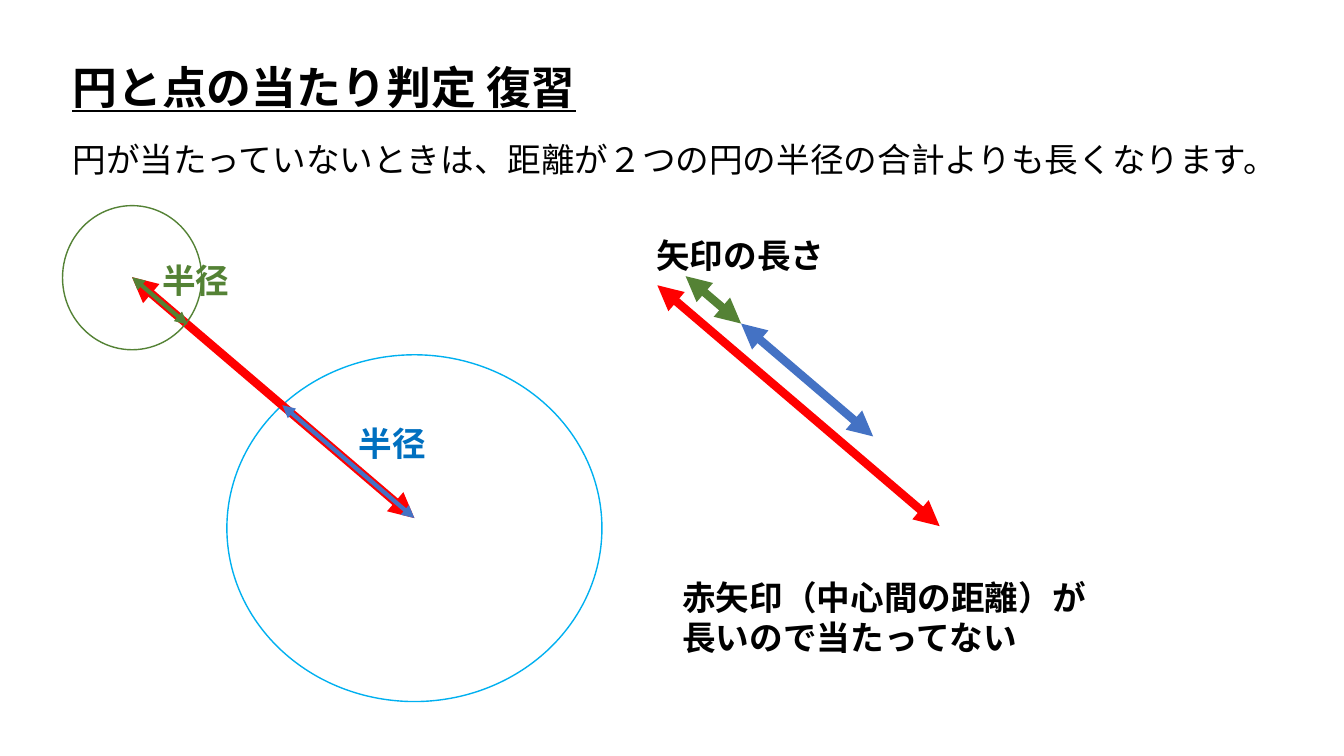
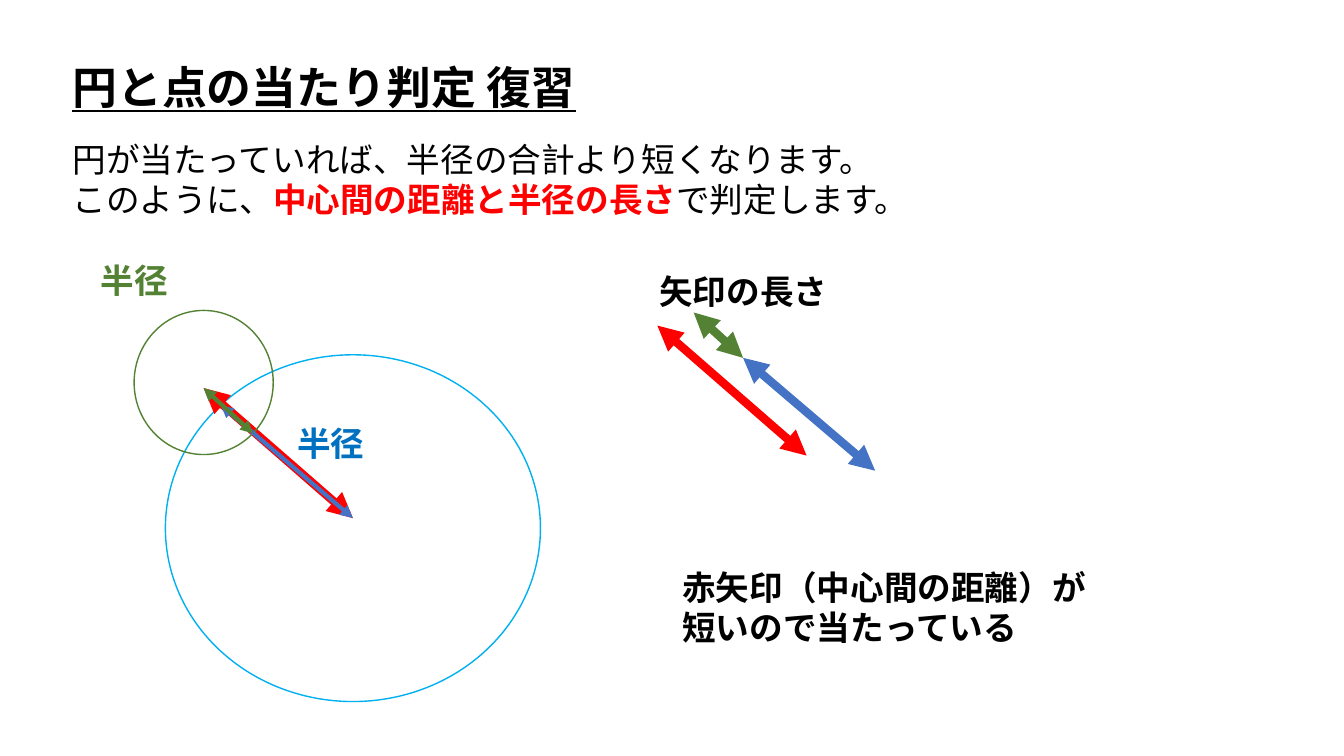
from pptx import Presentation
from pptx.dml.color import RGBColor
from pptx.enum.shapes import MSO_CONNECTOR as CONN, MSO_SHAPE as SHAPE
from pptx.enum.text import MSO_AUTO_SIZE as AUTO
from pptx.oxml.ns import qn
from pptx.util import Pt
from lxml.etree import SubElement

PX = 9144
FONT = "Noto Sans CJK JP"
TITLE = "円と点の当たり判定 復習"
COLORS = {
    "text": "000000",
    "red": "FF0000",
    "green": "548235",
    "blue": "4472C4",
    "blue_label": "0070C0",
    "blue_circle": "00B0F0",
}
BIG_SIZE = (372, 344)
BIG_CENTER = (186, 162)
BIG_RIM = (55, 50)
BIG_LABEL = (121, 63)
SMALL_SIZE = (138, 143)

CASES = [
    {
        "intro": ["円が当たっていないときは、距離が２つの円の半径の合計よりも長くなります。"],
        "intro_size": (1232, 50),
        "big": (225, 352),
        "small": (62, 204),
        "small_center": (131, 275),
        "small_radius": (55, 47),
        "small_label": (151, 253),
        "lengths": (652, 283),
        "caption": (-11, -55),
        "radii": (28, -9),
        "verdict": ["赤矢印（中心間の距離）が", "長いので当たってない"],
        "verdict_at": (667, 567),
    },
    {
        "intro": [
            "円が当たっていれば、半径の合計より短くなります。",
            ["このように、", ("中心間の距離と半径の長さ", "red"), "で判定します。"],
        ],
        "intro_size": (895, 91),
        "big": (164, 352),
        "small": (133, 308),
        "small_center": (202, 385),
        "small_radius": (49, 45),
        "small_label": (90, 253),
        "lengths": (652, 323),
        "caption": (-8, -59),
        "radii": (36, -13),
        "verdict": ["赤矢印（中心間の距離）が", "短いので当たっている"],
        "verdict_at": (667, 557),
    },
]


def rgb(name):
    return RGBColor.from_string(COLORS[name])


def shift(point, by):
    return point[0] + by[0], point[1] + by[1]


def vector(start, end):
    return end[0] - start[0], end[1] - start[1]


def emu(*lengths):
    return [n * PX for n in lengths]


def format_run(r, size, color, bold, underline):
    r.font.size = Pt(size)
    r.font.name = FONT
    r.font.bold = bold
    r.font.underline = underline
    r.font.color.rgb = rgb(color)
    ea = SubElement(r.font._element, qn("a:ea"))
    ea.set("typeface", FONT)


def add_text(shapes, at, box, lines, size=24, color="text", bold=False, underline=False):
    tf = shapes.add_textbox(*emu(*at, *box)).text_frame
    tf.word_wrap = False
    tf.auto_size = AUTO.SHAPE_TO_FIT_TEXT
    for i, line in enumerate(lines):
        p = tf.add_paragraph() if i else tf.paragraphs[0]
        for part in [line] if isinstance(line, str) else line:
            plain = isinstance(part, str)
            r = p.add_run()
            r.text = part if plain else part[0]
            format_run(r, size, color if plain else part[1], bold or not plain, underline)


def add_arrow(shapes, start, by, color, width=6):
    c = shapes.add_connector(CONN.STRAIGHT, *emu(*start, *shift(start, by)))
    c.line.color.rgb = rgb(color)
    c.line.width = Pt(width)
    sp_pr = c._element.spPr
    for end in ("a:headEnd", "a:tailEnd"):
        SubElement(sp_pr.get_or_add_ln(), qn(end)).set("type", "triangle")
    SubElement(sp_pr, qn("a:effectLst"))


def add_circle(shapes, at, size, color):
    sp = shapes.add_shape(SHAPE.OVAL, *emu(*at, *size))
    sp.shadow.inherit = False
    sp.fill.background()
    sp.line.color.rgb = rgb(color)
    sp.line.width = Pt(1)


def add_heading(shapes, at, case):
    add_text(shapes, at, (527, 64), [TITLE], size=32, bold=True, underline=True)
    add_text(shapes, shift(at, (0, 79)), case["intro_size"], case["intro"])


def add_circles(shapes, case, distance, big_radius):
    big, center = case["big"], case["small_center"]
    add_circle(shapes, big, BIG_SIZE, "blue_circle")
    add_arrow(shapes, center, distance, "red")
    add_circle(shapes, case["small"], SMALL_SIZE, "green")
    add_arrow(shapes, shift(big, BIG_RIM), big_radius, "blue", 3)
    add_text(shapes, case["small_label"], (88, 50), ["半径"], color="green", bold=True)
    add_arrow(shapes, center, case["small_radius"], "green", 3)
    add_text(shapes, shift(big, BIG_LABEL), (88, 50), ["半径"], color="blue_label", bold=True)


def add_lengths(shapes, at, case, distance, big_radius):
    radii = shift(at, case["radii"])
    add_text(shapes, shift(at, case["caption"]), (188, 50), ["矢印の長さ"], bold=True)
    add_arrow(shapes, at, distance, "red")
    add_arrow(shapes, radii, case["small_radius"], "green")
    add_arrow(shapes, shift(radii, case["small_radius"]), big_radius, "blue")


def add_case(prs, case):
    shapes = prs.slides.add_slide(prs.slide_layouts[6]).shapes
    distance = vector(case["small_center"], shift(case["big"], BIG_CENTER))
    big_radius = vector(BIG_RIM, BIG_CENTER)
    add_heading(shapes, (62, 54), case)
    add_circles(shapes.add_group_shape().shapes, case, distance, big_radius)
    add_lengths(shapes, case["lengths"], case, distance, big_radius)
    add_text(shapes, case["verdict_at"], (424, 91), case["verdict"], bold=True)


def main():
    prs = Presentation()
    prs.slide_width, prs.slide_height = emu(1333, 750)
    for case in CASES:
        add_case(prs, case)
    prs.save("out.pptx")


if __name__ == "__main__":
    main()
